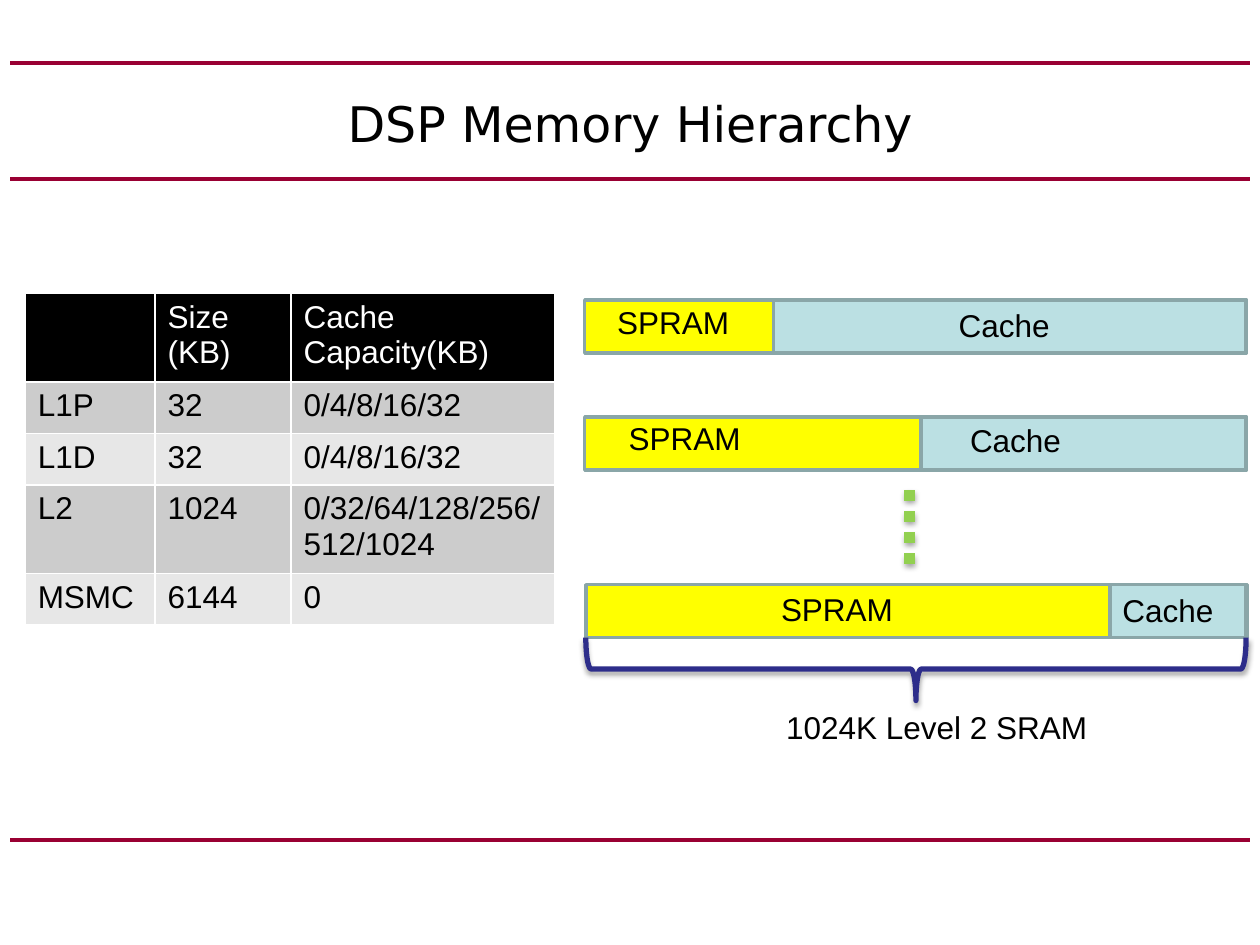
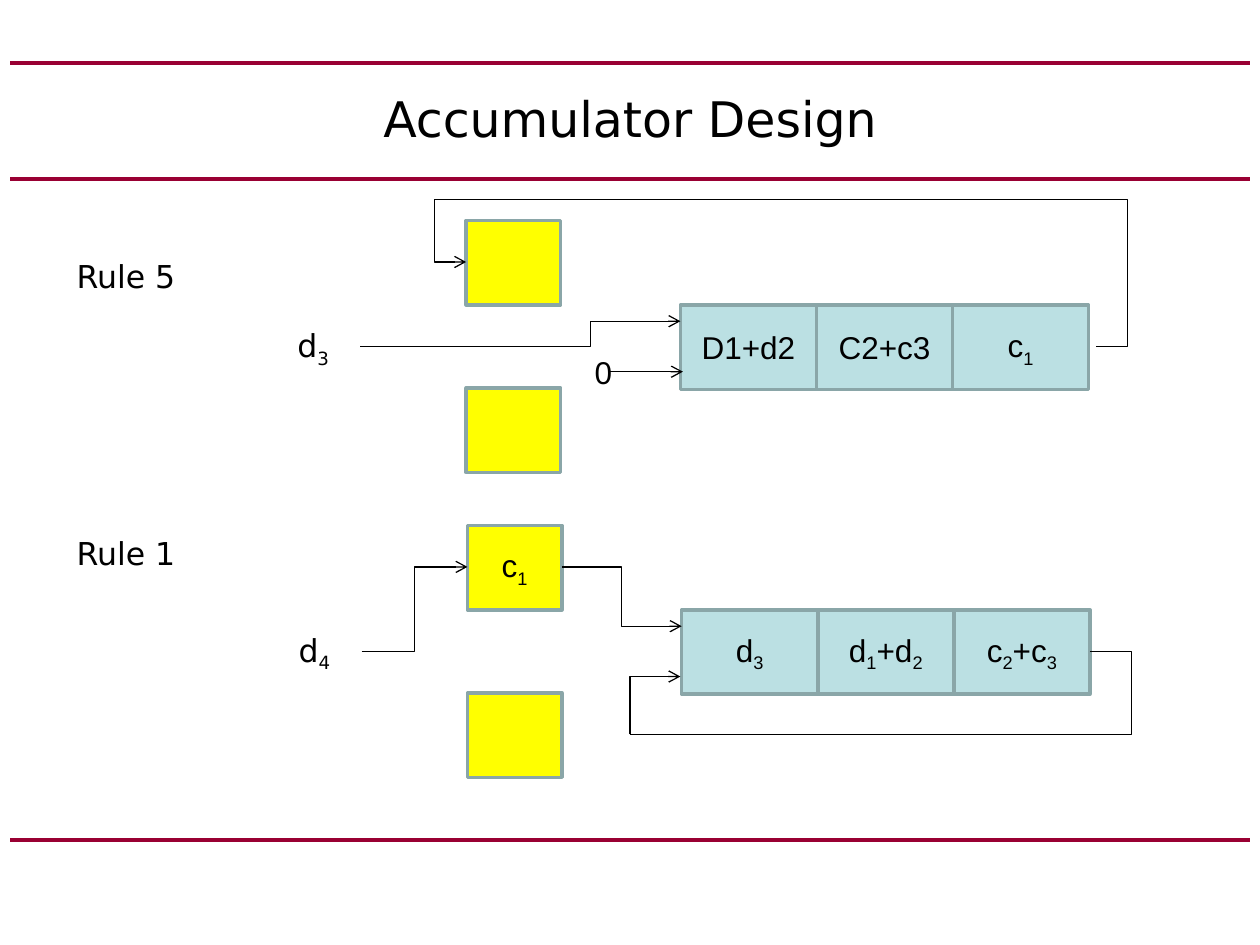
"""Build two slides on DSP memory hierarchy and accumulator design."""
import lxml.etree
import pptx
import pptx.dml.color
import pptx.enum.dml
import pptx.enum.shapes
import pptx.enum.text
import pptx.oxml.ns
import pptx.util

Inches = pptx.util.Inches
Pt = pptx.util.Pt
qn = pptx.oxml.ns.qn
SHAPE = pptx.enum.shapes.MSO_SHAPE
CONNECTOR = pptx.enum.shapes.MSO_CONNECTOR
LEFT = pptx.enum.text.PP_ALIGN.LEFT
CENTER = pptx.enum.text.PP_ALIGN.CENTER
TOP = pptx.enum.text.MSO_ANCHOR.TOP
MIDDLE = pptx.enum.text.MSO_ANCHOR.MIDDLE

BLACK, WHITE = "000000", "FFFFFF"
RULE_RED, BRACE_BLUE, DOT_GREEN = "990033", "2D2D8A", "92D050"
YELLOW, PALE_BLUE, OUTLINE = "FFFF00", "BBE0E3", "8AA6A8"
ROW_FILLS = ["CCCCCC", "E7E7E7"]
SANS, HEADING = "Arial", "DejaVu Sans"


def color(hex_code):
    return pptx.dml.color.RGBColor.from_string(hex_code)


def add_xml(parent, tag, **attributes):
    return lxml.etree.SubElement(parent, qn(tag), **attributes)


class Deck:
    def __init__(self):
        self.presentation = pptx.Presentation()
        self.presentation.slide_width = Inches(10)
        self.presentation.slide_height = Inches(7.5)
        self.slide = None

    def new_slide(self, title, left, top, width, height):
        layout = self.presentation.slide_layouts[5]
        self.slide = self.presentation.slides.add_slide(layout)
        for y in (0.5, 1.42, 6.67):
            self.line((0.08, y), (9.92, y), RULE_RED, 2.25)
        heading = self.slide.shapes.title
        heading.left, heading.top = Inches(left), Inches(top)
        heading.width, heading.height = Inches(width), Inches(height)
        self.set_text(heading.text_frame, title, HEADING, 28, CENTER, MIDDLE)

    def set_text(self, frame, text, font=SANS, size=18, align=LEFT, anchor=TOP):
        frame.word_wrap = True
        frame.vertical_anchor = anchor
        paragraph = frame.paragraphs[0]
        paragraph.alignment = align
        self.style(paragraph, font, size, BLACK)
        first, *lowered = text.split("_")
        paragraph.add_run().text = first
        for piece in lowered:
            subscript = paragraph.add_run()
            subscript.text = piece[0]
            subscript._r.get_or_add_rPr().set("baseline", "-25000")
            if piece[1:]:
                paragraph.add_run().text = piece[1:]

    def style(self, paragraph, font, size, ink):
        paragraph.font.name = font
        paragraph.font.size = Pt(size)
        paragraph.font.bold = False
        paragraph.font.color.rgb = color(ink)

    def label(self, text, left, top, width, height=0.4, **style):
        box = self.slide.shapes.add_textbox(
            Inches(left), Inches(top), Inches(width), Inches(height))
        self.set_text(box.text_frame, text, **style)

    def box(self, left, top, width, height, fill, text=""):
        block = self.slide.shapes.add_shape(
            SHAPE.RECTANGLE, Inches(left), Inches(top), Inches(width), Inches(height))
        block.shadow.inherit = False
        block.fill.solid()
        block.fill.fore_color.rgb = color(fill)
        block.line.color.rgb = color(OUTLINE)
        block.line.width = Pt(2)
        if text:
            self.set_text(block.text_frame, text, align=CENTER, anchor=MIDDLE)

    def brace(self, left, top, width, height):
        brace = self.slide.shapes.add_shape(
            SHAPE.LEFT_BRACE, Inches(left), Inches(top), Inches(width), Inches(height))
        brace.rotation = 270
        brace.fill.background()
        brace.line.color.rgb = color(BRACE_BLUE)
        brace.line.width = Pt(3)
        self.drop_shadow(brace)

    def drop_shadow(self, shape):
        effects = add_xml(shape.element.spPr, "a:effectLst")
        shadow = add_xml(effects, "a:outerShdw", blurRad=str(Pt(3.1)), dist=str(Pt(1.8)),
                         dir="5400000", rotWithShape="0")
        add_xml(add_xml(shadow, "a:srgbClr", val=BLACK), "a:alpha", val="35000")

    def line(self, start, end, ink=BLACK, width=0.75, bends=None, arrow=False, dotted=False):
        kind = CONNECTOR.ELBOW if bends else CONNECTOR.STRAIGHT
        line = self.slide.shapes.add_connector(
            kind, *(Inches(value) for value in (*start, *end)))
        line.line.color.rgb = color(ink)
        line.line.width = Pt(width)
        properties = line.element.spPr
        if bends:
            geometry = properties.find(qn("a:prstGeom"))
            geometry.set("prst", f"bentConnector{len(bends) + 2}")
            guides = geometry.find(qn("a:avLst"))
            for number, part in enumerate(bends, 1):
                add_xml(guides, "a:gd", name=f"adj{number}",
                        fmla=f"val {round(part * 100000)}")
        if arrow:
            add_xml(properties.find(qn("a:ln")), "a:tailEnd", type="arrow")
        if dotted:
            line.line.dash_style = pptx.enum.dml.MSO_LINE.ROUND_DOT
            self.drop_shadow(line)
        else:
            add_xml(properties, "a:effectLst")

    def table(self, rows, left, top, widths, heights):
        table = self.slide.shapes.add_table(
            len(rows), len(widths), Inches(left), Inches(top),
            Inches(sum(widths)), Inches(sum(heights))).table
        for column, width in zip(table.columns, widths):
            column.width = Inches(width)
        for index, (row, height) in enumerate(zip(rows, heights)):
            table.rows[index].height = Inches(height)
            fill = ROW_FILLS[(index - 1) % 2] if index else BLACK
            for cell, text in zip(table.rows[index].cells, row):
                self.cell(cell, text, fill, BLACK if index else WHITE)

    def cell(self, cell, text, fill, ink):
        properties = cell._tc.get_or_add_tcPr()
        for side in "LRTB":
            border = add_xml(properties, f"a:ln{side}", w=str(Pt(1)))
            add_xml(add_xml(border, "a:solidFill"), "a:srgbClr", val=WHITE)
        cell.fill.solid()
        cell.fill.fore_color.rgb = color(fill)
        cell.text = text
        for paragraph in cell.text_frame.paragraphs:
            self.style(paragraph, SANS, 18, ink)


def memory_hierarchy(deck):
    deck.new_slide("DSP Memory Hierarchy", 0.69, 0.25, 8.62, 1.45)
    memory_levels = [
        ["", "Size\n(KB)", "Cache Capacity(KB)"],
        ["L1P", "32", "0/4/8/16/32"],
        ["L1D", "32", "0/4/8/16/32"],
        ["L2", "1024", "0/32/64/128/256/512/1024"],
        ["MSMC", "6144", "0"],
    ]
    deck.table(memory_levels, 0.2, 2.33, [1.03, 1.08, 2.09], [0.7, 0.41, 0.41, 0.7, 0.41])

    splits = [
        (4.64, 2.38, 6.14, (4.8, 2.36), (7.51, 2.38)),
        (4.64, 3.31, 7.31, (4.89, 3.28), (7.6, 3.29)),
        (4.65, 4.64, 8.81, (6.1, 4.63), (8.81, 4.64)),
    ]
    for left, top, cache_left, spram_at, cache_at in splits:
        deck.box(left, top, 5.25, 0.42, YELLOW)
        deck.box(cache_left, top, 9.89 - cache_left, 0.42, PALE_BLUE)
        deck.label("SPRAM", *spram_at, 1.19)
        deck.label("Cache", *cache_at, 1.19)
    deck.line((7.22, 3.89), (7.22, 4.48), DOT_GREEN, 6, dotted=True)
    deck.brace(7.02, 2.69, 0.5, 5.24)
    deck.label("1024K Level 2 SRAM", 6.14, 5.57, 2.83)


def accumulator_state(deck, left, top, incoming, buffered, pipeline):
    deck.box(left, top, 0.75, 0.67, YELLOW, buffered)
    deck.box(left, top + 1.33, 0.75, 0.67, YELLOW)
    deck.label(incoming, left - 1.59, top + 0.67, 0.75, 0.67,
               font=HEADING, align=CENTER, anchor=MIDDLE)
    for stage, operand in enumerate(pipeline):
        deck.box(left + 1.7 + stage * 1.08, top + 0.67, 1.08, 0.67, PALE_BLUE, operand)


def accumulator_design(deck):
    deck.new_slide("Accumulator Design", 0.5, 0.5, 9, 0.87)
    for rule, top in (("Rule 5", 1.92), ("Rule 1", 4.12)):
        deck.label(rule, 0.33, top, 1.34, 0.54, font=HEADING, align=CENTER, anchor=MIDDLE)

    accumulator_state(deck, 3.7, 1.75, "d_3", "", ["D1+d2", "C2+c3", "c_1"])
    deck.line((2.86, 2.75), (5.4, 2.55), bends=[0.72], arrow=True)
    deck.line((8.7, 2.75), (3.7, 2.08), bends=[-0.05, 1.74, 1.05], arrow=True)
    deck.label("0", 4.41, 2.75, 0.76, align=CENTER)
    deck.line((4.84, 2.95), (5.42, 2.95), arrow=True)

    accumulator_state(deck, 3.71, 4.17, "d_4", "c_1", ["d_3", "d_1+d_2", "c_2+c_3"])
    deck.line((2.87, 5.17), (3.71, 4.5), bends=[0.5], arrow=True)
    deck.line((4.46, 4.5), (5.41, 4.97), bends=[0.5], arrow=True)
    deck.line((8.65, 5.17), (5, 5.83), bends=[-0.09])
    deck.line((5, 5.83), (5.4, 5.37), bends=[0], arrow=True)


def main():
    deck = Deck()
    memory_hierarchy(deck)
    accumulator_design(deck)
    deck.presentation.save("out.pptx")


if __name__ == "__main__":
    main()
